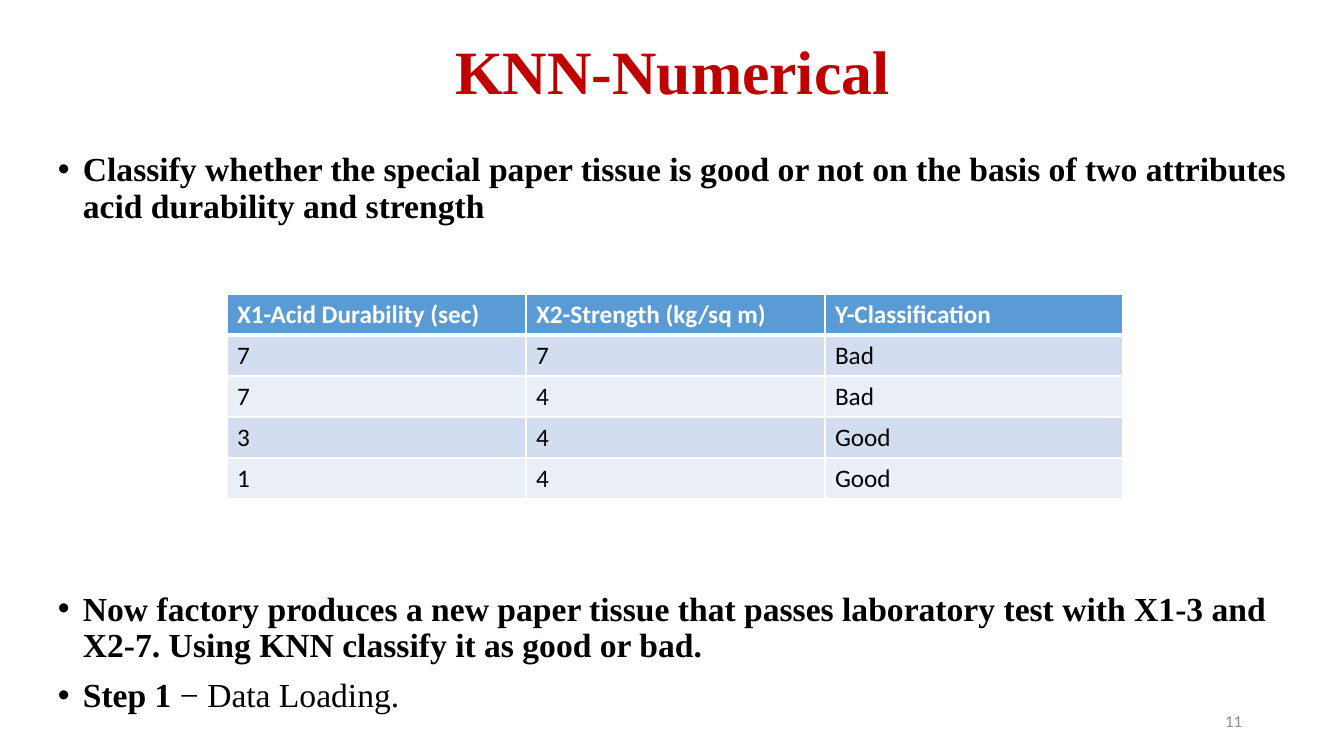
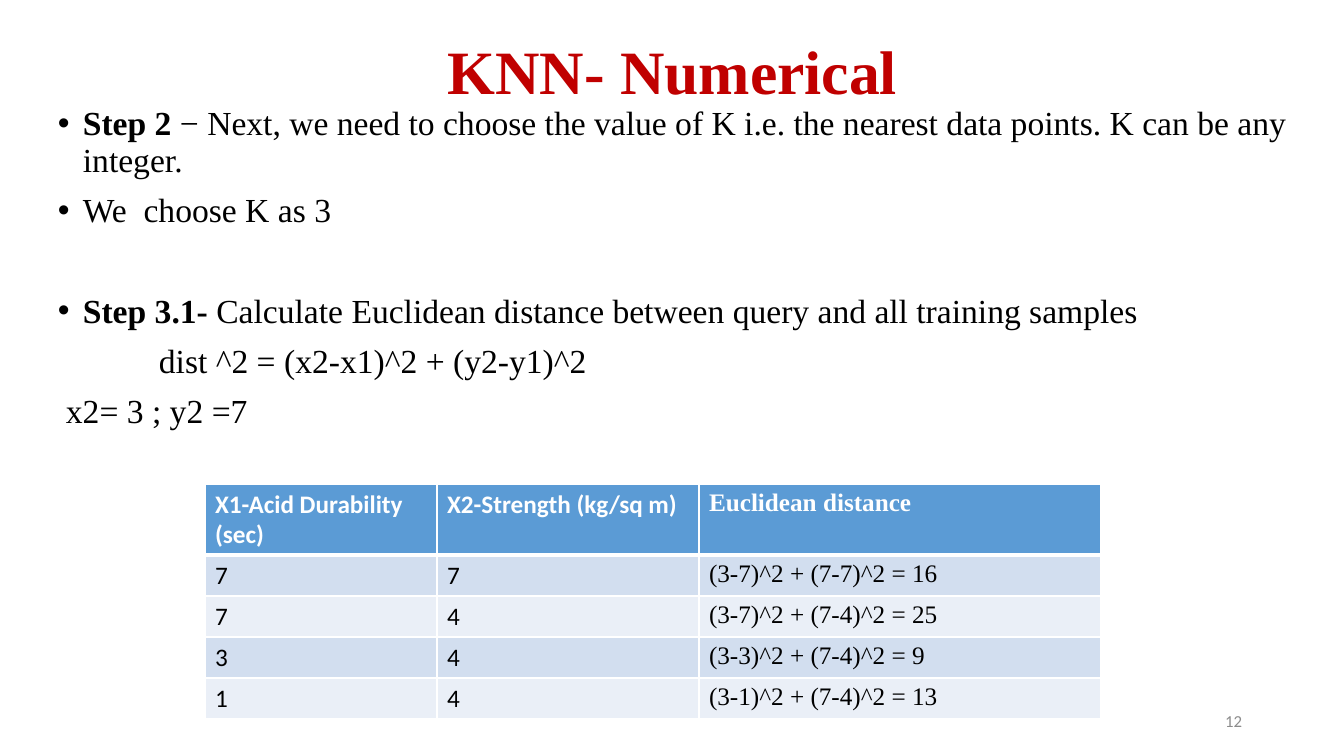
import pptx
import pptx.dml.color
import pptx.enum.text
import pptx.oxml.ns
import pptx.util
from lxml import etree

# Shared style
PX = 914400 / 100.8
SERIF, SANS = "Times New Roman", "Calibri"
RED, BLACK, WHITE, GREY = "C00000", "000000", "FFFFFF", "8C8C8C"
HEADER_FILL, BAND_FILLS = "5B9BD5", ("D2DEEF", "EAEFF7")
TITLE_BOX = (93, 2, 1159, 146)
NUMBER_BOX = (950, 701, 302, 40)
BODY_LEFT, BODY_WIDTH, BODY_BOTTOM = 48, 1253, 753
BULLET_INDENT = 25
ROW_HEIGHT = 41
PARAGRAPH_GAP, LINE_PITCH = 10, 36  # points
ALIGN = pptx.enum.text.PP_ALIGN
ANCHOR = pptx.enum.text.MSO_ANCHOR

# Content: a body line has runs (text, bold), an optional count of free lines
# above it, and an optional left margin that replaces its bullet
SLIDES = [
    {
        "title": "KNN-Numerical",
        "number": "11",
        "body_top": 148,
        "body": [
            {"runs": [("Classify whether the special paper tissue is good or not on the "
                       "basis of two attributes acid durability and strength", True)]},
            {"runs": [("Now factory produces a new paper tissue that passes laboratory test "
                       "with X1-3 and X2-7. Using KNN classify it as good or bad.", True)],
             "free_lines": 7},
            {"runs": [("Step 1", True), (" − Data Loading.", False)]},
        ],
        "samples": {
            "left": 227, "top": 294, "header_height": ROW_HEIGHT,
            "columns": [(299, SANS), (299, SANS), (298, SANS)],
            "rows": [
                ("X1-Acid Durability (sec)", "X2-Strength (kg/sq m)", "Y-Classification"),
                ("7", "7", "Bad"),
                ("7", "4", "Bad"),
                ("3", "4", "Good"),
                ("1", "4", "Good"),
            ],
        },
    },
    {
        "title": "KNN- Numerical",
        "number": "12",
        "body_top": 102,
        "body": [
            {"runs": [("Step 2", True),
                      (" − Next, we need to choose the value of K i.e. the nearest data "
                       "points. K can be any integer.", False)]},
            {"runs": [("We  choose K as 3", False)]},
            {"runs": [("Step 3.1- ", True),
                      ("Calculate Euclidean distance between query and all training samples",
                       False)],
             "free_lines": 1},
            {"runs": [("dist ^2 = (x2-x1)^2 + (y2-y1)^2", False)], "margin": 101},
            {"runs": [("x2= 3 ; y2 =7", False)], "margin": 8},
        ],
        "samples": {
            "left": 205, "top": 484, "header_height": 71,
            "columns": [(232, SANS), (262, SANS), (402, SERIF)],
            "rows": [
                ("X1-Acid Durability (sec)", "X2-Strength (kg/sq m)", "Euclidean distance"),
                ("7", "7", "(3-7)^2 + (7-7)^2 = 16"),
                ("7", "4", "(3-7)^2 + (7-4)^2 = 25"),
                ("3", "4", "(3-3)^2 + (7-4)^2 = 9"),
                ("1", "4", "(3-1)^2 + (7-4)^2 = 13"),
            ],
        },
    },
]


def px(length):
    return pptx.util.Emu(round(length * PX))


def color(value):
    return pptx.dml.color.RGBColor.from_string(value)


def add_run(paragraph, text, size, font, ink, bold=False):
    run = paragraph.add_run()
    run.text = text
    run.font.size = pptx.util.Pt(size)
    run.font.name = font
    run.font.bold = bold
    run.font.color.rgb = color(ink)


def add_frame(slide, box, anchor):
    frame = slide.shapes.add_textbox(*map(px, box)).text_frame
    frame.word_wrap = True
    frame.vertical_anchor = anchor
    return frame


def set_indent(paragraph, margin, bulleted):
    properties = paragraph._p.get_or_add_pPr()
    properties.set("marL", str(px(margin)))
    properties.set("indent", str(px(-margin if bulleted else 0)))
    if bulleted:
        font = etree.SubElement(properties, pptx.oxml.ns.qn("a:buFont"))
        font.set("typeface", "Arial")
        bullet = etree.SubElement(properties, pptx.oxml.ns.qn("a:buChar"))
        bullet.set("char", "•")


def add_title(slide, title):
    paragraph = add_frame(slide, TITLE_BOX, ANCHOR.MIDDLE).paragraphs[0]
    paragraph.alignment = ALIGN.CENTER
    paragraph.line_spacing = 0.9
    add_run(paragraph, title, 44, SERIF, RED, True)


def add_body(slide, top, lines):
    box = (BODY_LEFT, top, BODY_WIDTH, BODY_BOTTOM - top)
    frame = add_frame(slide, box, ANCHOR.TOP)
    for index, line in enumerate(lines):
        paragraph = frame.add_paragraph() if index else frame.paragraphs[0]
        set_indent(paragraph, line.get("margin", BULLET_INDENT), "margin" not in line)
        paragraph.line_spacing = 0.9
        if index:
            gap = PARAGRAPH_GAP + LINE_PITCH * line.get("free_lines", 0)
            paragraph.space_before = pptx.util.Pt(gap)
        for text, bold in line["runs"]:
            add_run(paragraph, text, 24, SERIF, BLACK, bold)


def add_number(slide, number):
    paragraph = add_frame(slide, NUMBER_BOX, ANCHOR.MIDDLE).paragraphs[0]
    paragraph.alignment = ALIGN.RIGHT
    add_run(paragraph, number, 12, SANS, GREY)


def set_borders(cell, widths):
    properties = cell._tc.get_or_add_tcPr()
    for position, (side, width) in enumerate(widths.items()):
        line = etree.Element(pptx.oxml.ns.qn("a:ln" + side))
        line.set("w", str(pptx.util.Pt(width)))
        fill = etree.SubElement(line, pptx.oxml.ns.qn("a:solidFill"))
        etree.SubElement(fill, pptx.oxml.ns.qn("a:srgbClr")).set("val", WHITE)
        properties.insert(position, line)


def add_samples(slide, samples):
    rows, columns = samples["rows"], samples["columns"]
    heights = [samples["header_height"]] + [ROW_HEIGHT] * (len(rows) - 1)
    width = sum(column_width for column_width, _ in columns)
    box = (samples["left"], samples["top"], width, sum(heights))
    table = slide.shapes.add_table(len(rows), len(columns), *map(px, box)).table
    for column, (column_width, _) in zip(table.columns, columns):
        column.width = px(column_width)
    for r, (values, height) in enumerate(zip(rows, heights)):
        table.rows[r].height = px(height)
        header = r == 0
        for c, (value, (_, font)) in enumerate(zip(values, columns)):
            cell = table.cell(r, c)
            cell.fill.solid()
            cell.fill.fore_color.rgb = color(HEADER_FILL if header else BAND_FILLS[(r - 1) % 2])
            # The rule under the header is heavier
            set_borders(cell, {"L": 1, "R": 1, "T": 3 if r == 1 else 1, "B": 3 if header else 1})
            add_run(cell.text_frame.paragraphs[0], value, 18, font,
                    WHITE if header else BLACK, header)


def main():
    deck = pptx.Presentation()
    deck.slide_width, deck.slide_height = px(1344), px(756)
    for content in SLIDES:
        slide = deck.slides.add_slide(deck.slide_layouts[6])
        add_title(slide, content["title"])
        add_body(slide, content["body_top"], content["body"])
        add_number(slide, content["number"])
        add_samples(slide, content["samples"])
    deck.save("out.pptx")


if __name__ == "__main__":
    main()
